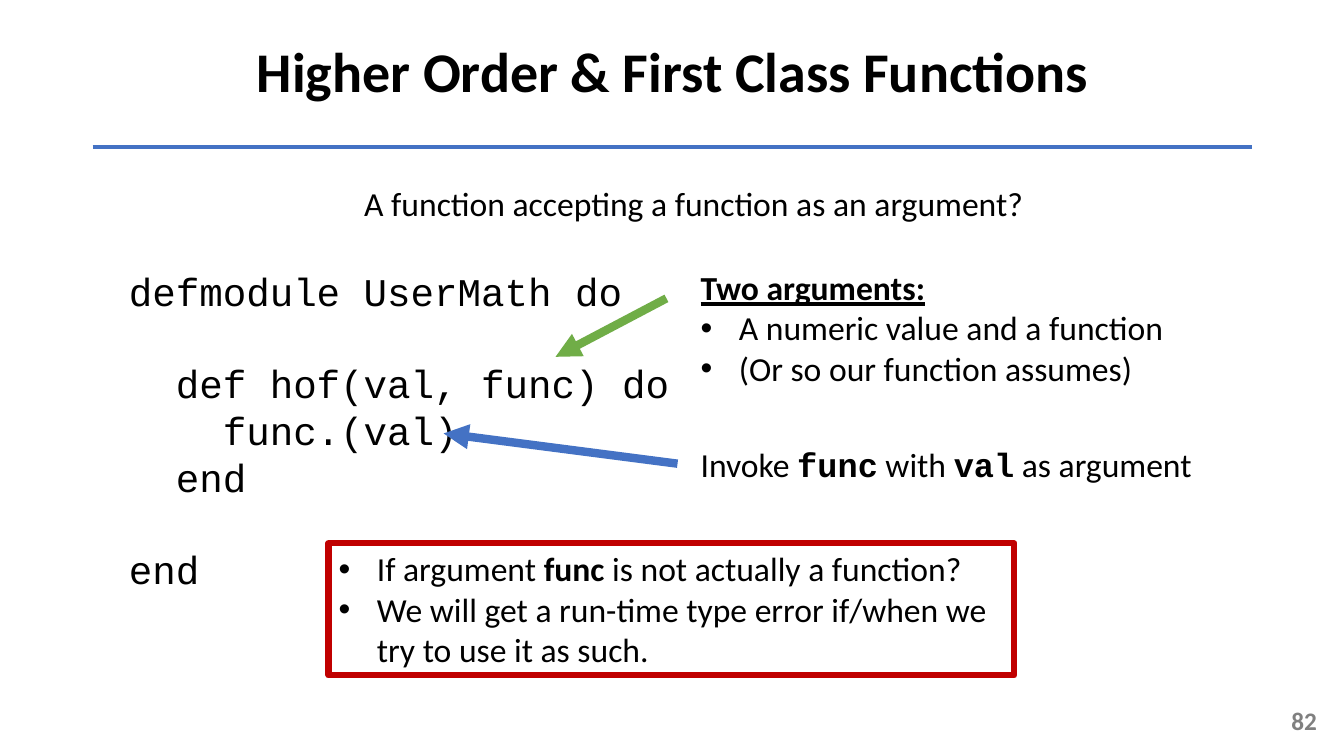
from lxml import etree
from pptx import Presentation
from pptx.dml.color import RGBColor
from pptx.enum import shapes, text
from pptx.oxml import ns
from pptx.util import Inches, Pt

BLACK = RGBColor(0, 0, 0)
GRAY = RGBColor(0x80, 0x80, 0x80)
BLUE = RGBColor(0x44, 0x72, 0xC4)
GREEN = RGBColor(0x70, 0xAD, 0x47)
RED = RGBColor(0xC0, 0, 0)
SANS, MONO = "Calibri", "Courier New"
TOP, MID = text.MSO_ANCHOR.TOP, text.MSO_ANCHOR.MIDDLE
LEFT, MIDDLE, RIGHT = text.PP_ALIGN.LEFT, text.PP_ALIGN.CENTER, text.PP_ALIGN.RIGHT


def bullet(para):
    props = para._p.get_or_add_pPr()
    props.set("marL", str(Inches(0.38)))
    props.set("indent", str(-Inches(0.38)))
    etree.SubElement(props, ns.qn("a:buFont")).set("typeface", "Arial")
    etree.SubElement(props, ns.qn("a:buChar")).set("char", "•")


def write(shape, lines, size=24, font=SANS, color=BLACK, bold=False,
          strong=SANS, align=LEFT, anchor=TOP):
    """Lines starting with • get a bullet; parts between * are bold."""
    frame = shape.text_frame
    frame.word_wrap = True
    frame.vertical_anchor = anchor
    for i, line in enumerate(lines):
        para = frame.add_paragraph() if i else frame.paragraphs[0]
        para.alignment = align
        if line.startswith("•"):
            bullet(para)
            line = line[1:]
        for j, part in enumerate(line.split("*")):
            if not part:
                continue
            marked = j % 2 == 1
            run = para.add_run()
            run.text = part
            run.font.size = Pt(size)
            run.font.name = strong if marked else font
            run.font.bold = bold or marked
            run.font.color.rgb = color
    return frame.paragraphs


def label(slide, box, lines, **style):
    shape = slide.shapes.add_textbox(*map(Inches, box))
    return write(shape, lines, **style)


def frame_box(slide, box, lines):
    shape = slide.shapes.add_shape(shapes.MSO_SHAPE.RECTANGLE, *map(Inches, box))
    shape.shadow.inherit = False
    shape.fill.background()
    shape.line.color.rgb = RED
    shape.line.width = Pt(4.5)
    write(shape, lines)


def rule(slide, ends, color, width, arrow=False):
    line = slide.shapes.add_connector(shapes.MSO_CONNECTOR.STRAIGHT, *map(Inches, ends))
    line.line.color.rgb = color
    line.line.width = Pt(width)
    if arrow:
        tip = etree.SubElement(line.line._get_or_add_ln(), ns.qn("a:tailEnd"))
        tip.set("type", "triangle")
    etree.SubElement(line._element.spPr, ns.qn("a:effectLst"))


def main():
    deck = Presentation()
    deck.slide_width, deck.slide_height = Inches(13.33), Inches(7.5)
    slide = deck.slides.add_slide(deck.slide_layouts[6])

    # Title and lead question
    title = label(slide, (0.92, 0.01, 11.5, 1.45), ["Higher Order & First Class Functions"],
                  size=40, bold=True, align=MIDDLE, anchor=MID)
    title[0].line_spacing = 0.9
    rule(slide, (0.92, 1.46, 12.42, 1.46), BLUE, 3)
    label(slide, (2.79, 1.77, 8.18, 0.5),
          ["A function accepting a function as an argument?"], align=MIDDLE)

    # Code, with a one-line gap around the inner function
    code = label(slide, (1.18, 2.6, 6.67, 3.4),
                 ["defmodule UserMath do", "  def hof(val, func) do",
                  "    func.(val)", "  end", "end"], size=28, font=MONO)
    for row in (1, 4):
        code[row].space_before = Pt(32)

    # Notes beside the code
    notes = label(slide, (6.85, 2.6, 5.09, 1.31),
                  ["*Two arguments:*", "•A numeric value and a function",
                   "•(Or so our function assumes)"])
    notes[0].runs[0].font.underline = True
    rule(slide, (6.61, 2.96, 5.51, 3.54), GREEN, 6, arrow=True)
    label(slide, (6.85, 4.35, 5.09, 0.5),
          ["Invoke *func* with *val* as argument"], strong=MONO)
    rule(slide, (6.72, 4.6, 4.4, 4.3), BLUE, 6, arrow=True)

    # Warning
    frame_box(slide, (3.26, 5.39, 6.8, 1.31),
              ["•If argument *func* is not actually a function?",
               "•We will get a run-time type error if/when we try to use it as such."])

    # Page number
    label(slide, (10.16, 6.95, 3, 0.4), ["82"], size=18, color=GRAY,
          bold=True, align=RIGHT, anchor=MID)
    deck.save("out.pptx")


if __name__ == "__main__":
    main()
